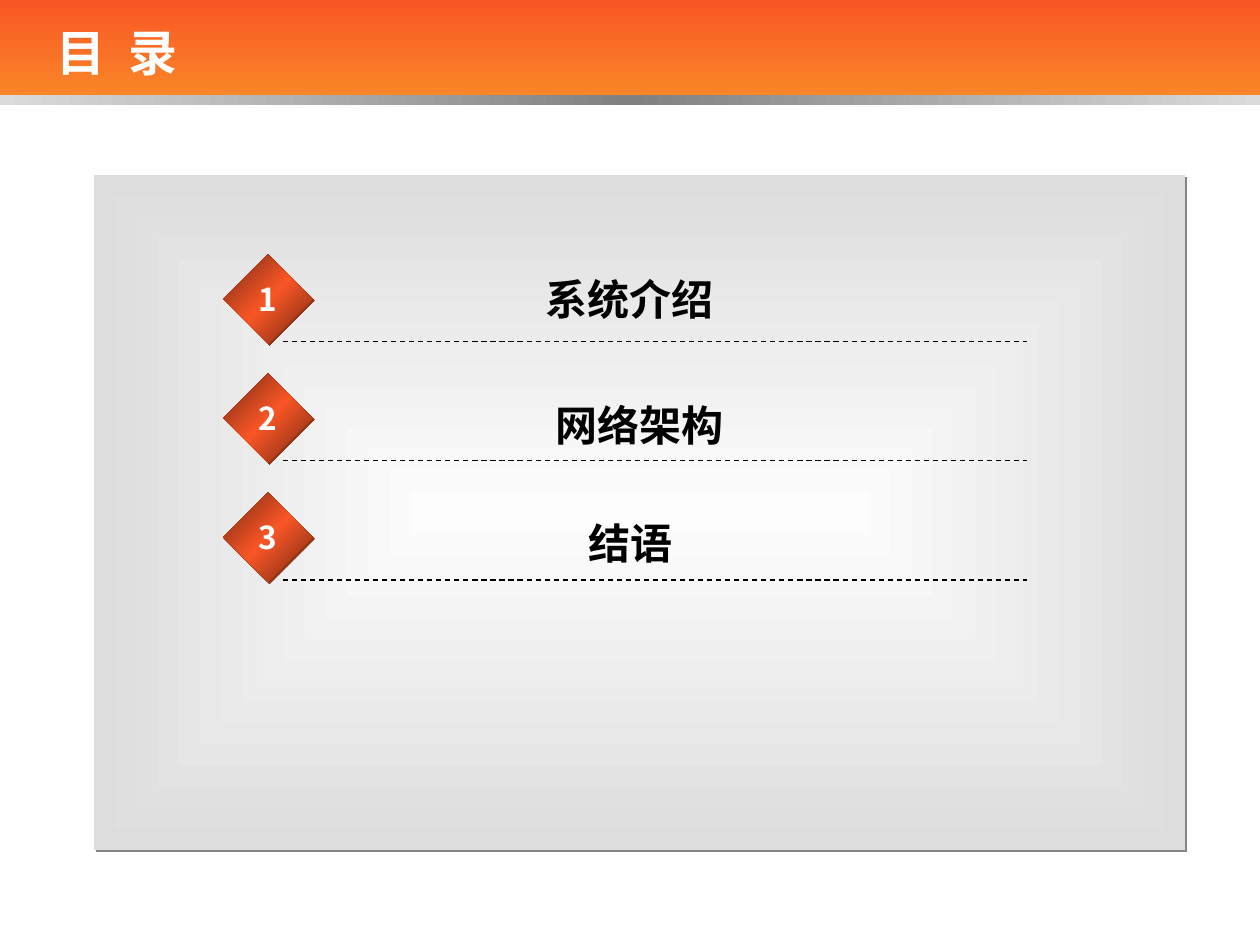
"""Build a contents slide with three numbered entries on a shaded panel."""
from lxml.etree import SubElement
from pptx import Presentation
from pptx.dml.color import RGBColor
from pptx.enum.dml import MSO_LINE
from pptx.enum.shapes import MSO_CONNECTOR, MSO_SHAPE
from pptx.enum.text import MSO_ANCHOR, MSO_AUTO_SIZE, PP_ALIGN
from pptx.oxml.ns import qn
from pptx.util import Cm, Pt

WHITE = RGBColor(0xFF, 0xFF, 0xFF)
BLACK = RGBColor(0x00, 0x00, 0x00)
RED = RGBColor(0xF9, 0x56, 0x26)
ORANGE = RGBColor(0xF9, 0x86, 0x27)
BROWN = RGBColor(0x73, 0x28, 0x12)
RUST = RGBColor(0x95, 0x34, 0x17)
SILVER = RGBColor(0xDB, 0xDB, 0xDB)
GRAY = RGBColor(0x80, 0x80, 0x80)
SHADE = RGBColor(0x85, 0x85, 0x85)
PALE = RGBColor(0xFD, 0xFD, 0xFD)
MIST = RGBColor(0xDD, 0xDD, 0xDD)
CJK = "Noto Sans CJK SC"
LATIN = "Arial"


class Deck:
    def __init__(self, prs):
        self.s = prs.slides.add_slide(prs.slide_layouts[5])

    def run(self, p, text, size, color, font=CJK, spacing=0):
        r = p.add_run()
        r.text = text
        r.font.size, r.font.bold, r.font.name = Pt(size), True, font
        r.font.color.rgb = color
        rPr = r.font._element
        SubElement(rPr, qn("a:ea"), typeface=CJK)
        if spacing:
            rPr.set("spc", str(spacing))

    def gradient(self, sp, colors, angle):
        sp.fill.gradient()
        grad = sp.element.spPr.find(qn("a:gradFill"))
        for child in list(grad):
            grad.remove(child)
        stops = SubElement(grad, qn("a:gsLst"))
        for i, color in enumerate(colors):
            gs = SubElement(stops, qn("a:gs"), pos=str(100000 * i // (len(colors) - 1)))
            SubElement(gs, qn("a:srgbClr"), val=str(color))
        if angle is None:
            kind = SubElement(grad, qn("a:path"), path="rect")
            SubElement(kind, qn("a:fillToRect"), dict.fromkeys("ltrb", "50000"))
        else:
            SubElement(grad, qn("a:lin"), ang=str(angle * 60000), scaled="0")

    def shape(self, box, colors, angle=None, shadow=None, kind=MSO_SHAPE.RECTANGLE, parent=None):
        sp = (parent or self.s).shapes.add_shape(kind, *map(Cm, box))
        sp.line.fill.background()
        self.gradient(sp, colors, angle)
        sp.shadow.inherit = False
        if shadow:
            effects = sp.element.spPr.find(qn("a:effectLst"))
            outer = SubElement(effects, qn("a:outerShdw"), dist=str(Pt(1.4)),
                               dir="2700000", algn="ctr", rotWithShape="0")
            SubElement(outer, qn("a:srgbClr"), val=str(shadow))
        return sp

    def title(self, box, first, last):
        sp = self.s.shapes.title
        sp.left, sp.top, sp.width, sp.height = map(Cm, box)
        tf = sp.text_frame
        tf.auto_size, tf.vertical_anchor = MSO_AUTO_SIZE.NONE, MSO_ANCHOR.TOP
        p = tf.paragraphs[0]
        p.alignment = PP_ALIGN.LEFT
        self.run(p, first, 28, WHITE)
        self.run(p, " ", 28, WHITE, spacing=680)
        self.run(p, last, 28, WHITE)
        self.s.shapes[-1].element.addnext(sp.element)

    def marker(self, number, top):
        group = self.s.shapes.add_group_shape()
        sp = self.shape((4.5, top, 1.8, 1.8), (BROWN, RED, BROWN), 45, RUST,
                        MSO_SHAPE.DIAMOND, group)
        tf = sp.text_frame
        tf.word_wrap, tf.vertical_anchor = False, MSO_ANCHOR.MIDDLE
        p = tf.paragraphs[0]
        p.alignment = PP_ALIGN.CENTER
        self.run(p, str(number), 18, WHITE)
        y = Cm(top + 1.76)
        line = group.shapes.add_connector(MSO_CONNECTOR.STRAIGHT, Cm(5.7), y, Cm(20.7), y)
        line.line.color.rgb, line.line.width = BLACK, Pt(0.75)
        line.line.dash_style = MSO_LINE.DASH
        SubElement(line.element.spPr, qn("a:effectLst"))

    def label(self, text, box):
        tf = self.s.shapes.add_textbox(*map(Cm, box)).text_frame
        tf.word_wrap, tf.auto_size = False, MSO_AUTO_SIZE.NONE
        p = tf.paragraphs[0]
        p.alignment = PP_ALIGN.LEFT
        self.run(p, text, 24, BLACK, LATIN)


def main():
    prs = Presentation()
    prs.slide_width, prs.slide_height = Cm(25.4), Cm(19.05)
    deck = Deck(prs)
    deck.shape((0, 0, 25.4, 1.93), (RED, ORANGE), 90)
    deck.shape((0, 1.92, 25.4, 0.2), (SILVER, GRAY, SILVER), 0)
    deck.title((0.89, 0.33, 6.2, 1.45), "目", "录")
    deck.shape((1.9, 3.53, 22, 13.61), (PALE, MIST), shadow=SHADE)
    entries = [("系统介绍", 10.74, 5.38, 4),
               ("网络架构", 10.95, 7.92, 4),
               ("结语", 11.61, 10.31, 2.4)]
    for i in range(len(entries)):
        deck.marker(i + 1, 5.13 + 2.4 * i)
    for text, left, top, width in entries:
        deck.label(text, (left, top, width, 1.27))
    prs.save("out.pptx")


if __name__ == "__main__":
    main()
